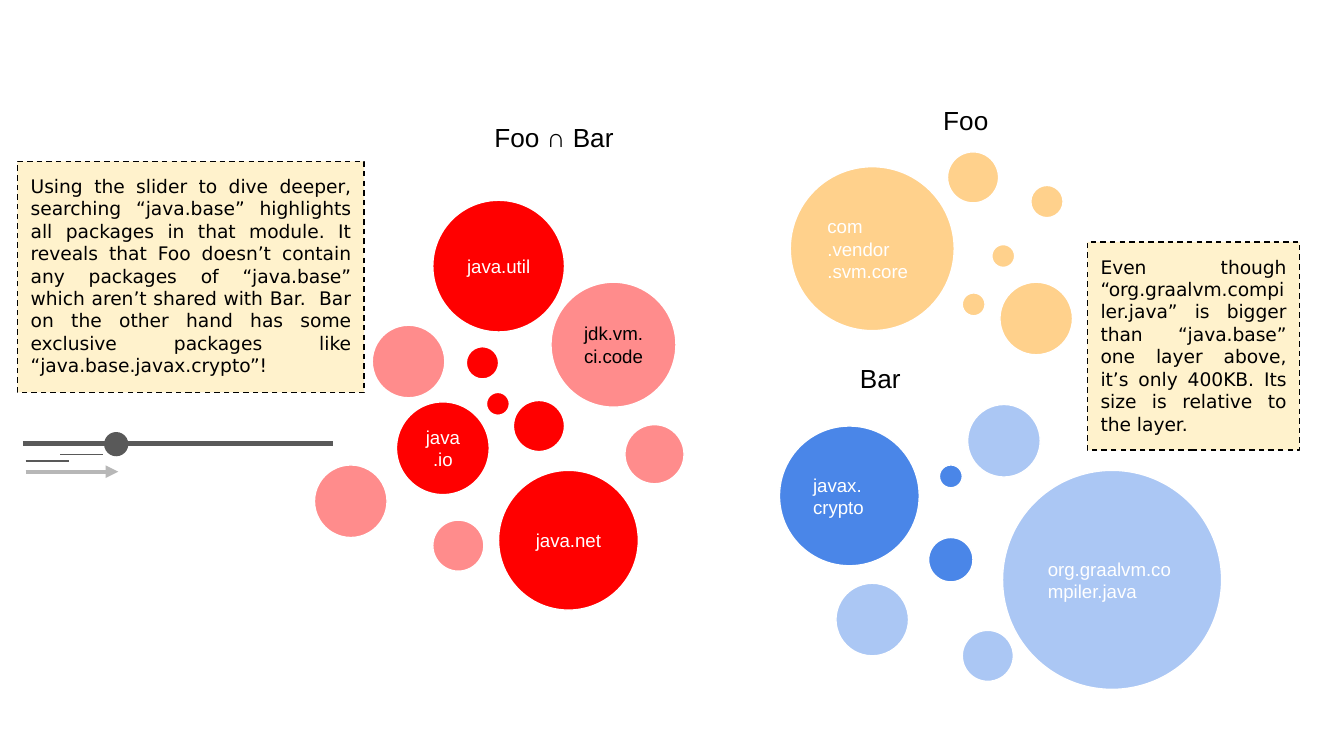
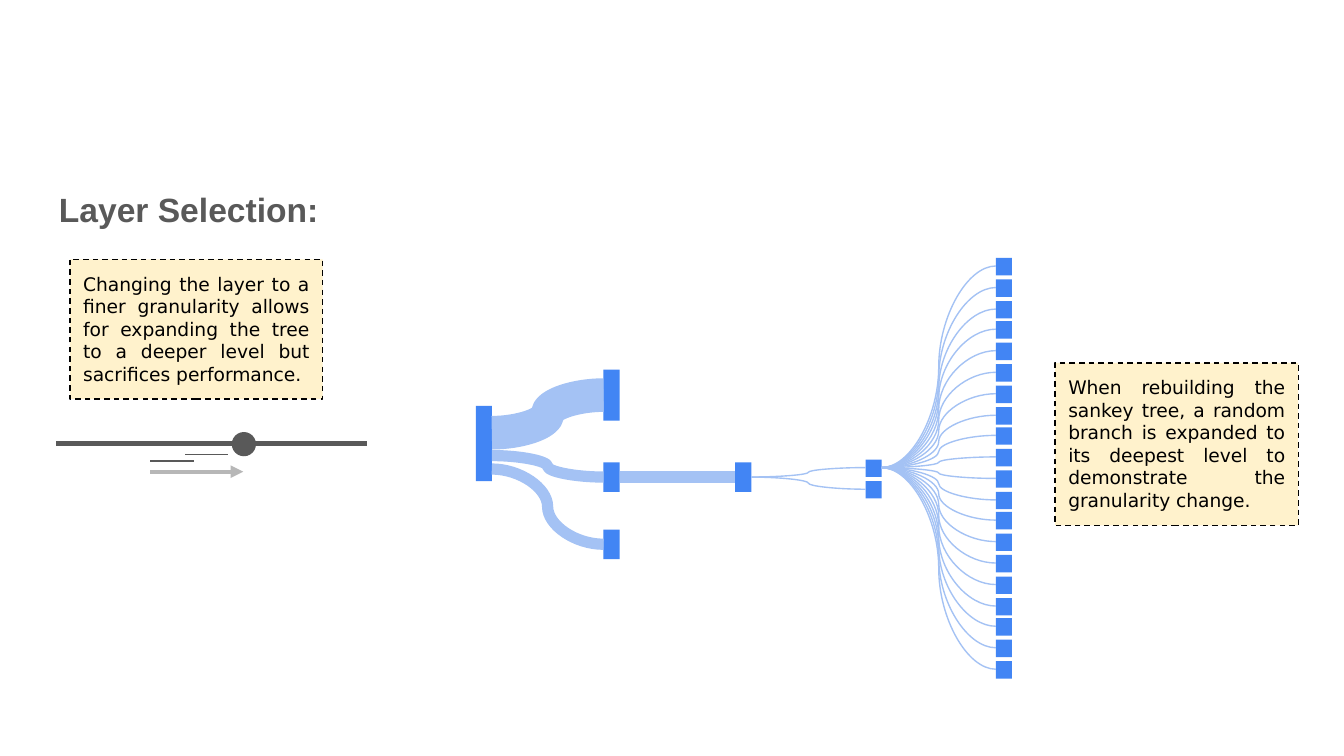
from dataclasses import dataclass
from typing import Any, NamedTuple, Optional

from lxml import etree
from pptx import Presentation
from pptx.dml.color import RGBColor
from pptx.enum.dml import MSO_LINE
from pptx.enum.shapes import MSO_CONNECTOR, MSO_SHAPE
from pptx.enum.text import MSO_ANCHOR, MSO_AUTO_SIZE, PP_ALIGN
from pptx.oxml.ns import qn
from pptx.slide import Slide
from pptx.util import Emu, Pt

OVAL, RECT = MSO_SHAPE.OVAL, MSO_SHAPE.RECTANGLE
LINE, CURVE = MSO_CONNECTOR.STRAIGHT, MSO_CONNECTOR.CURVE
LEFT, MID, FULL = PP_ALIGN.LEFT, PP_ALIGN.CENTER, PP_ALIGN.JUSTIFY
TOP, CENTER = MSO_ANCHOR.TOP, MSO_ANCHOR.MIDDLE
FIXED, GROW = MSO_AUTO_SIZE.NONE, MSO_AUTO_SIZE.SHAPE_TO_FIT_TEXT
DASH = MSO_LINE.DASH

SCALE = 9144  # EMU in one px, 100 px to the inch


def px(size: int) -> Emu:
    return Emu(size * SCALE)


# Theme
class Tone(NamedTuple):
    color: str
    alpha: int = 100


@dataclass(frozen=True)
class Theme:
    sans: str = "Arial"
    note: str = "DejaVu Sans"
    small: int = 10
    label: int = 14
    title: int = 18
    thin: float = 0.75
    thick: float = 2.25
    black: str = "000000"
    white: str = "FFFFFF"
    gray: str = "595959"
    pale: str = "B7B7B7"
    cream: str = "FFF2CC"
    node: str = "4285F4"
    link: str = "A4C2F4"
    red: Tone = Tone("FF0000")
    pink: Tone = Tone("FF0000", 45)
    gold: Tone = Tone("FF9900", 45)
    blue: Tone = Tone("4A86E8")
    sky: Tone = Tone("4A86E8", 46)


T = Theme()


# Parts
class Box(NamedTuple):
    x: int
    y: int
    w: int
    h: int


class Note(NamedTuple):
    box: Box
    text: str


class Dot(NamedTuple):
    x: int
    y: int
    size: int
    tone: Tone
    text: str = ""
    ink: str = T.white
    align: Any = LEFT


class Node(NamedTuple):
    x: int
    y: int
    h: int

    @property
    def mid(self) -> int:
        return self.y + self.h // 2


# Drawing
def put(item: Any, form: dict[str, Any]) -> None:
    for name, value in form.items():
        setattr(item, name, value)


def write(shape: Any, text: str, font: str, size: int, ink: str, align: Any = LEFT,
          anchor: Any = TOP, fit: Any = FIXED, bold: bool = False, space: float = 1.0) -> None:
    edge = px(10)
    put(shape.text_frame, {
        "word_wrap": True, "auto_size": fit, "vertical_anchor": anchor,
        "margin_left": edge, "margin_top": edge, "margin_right": edge, "margin_bottom": edge,
    })
    para = shape.text_frame.paragraphs[0]
    put(para, {"text": text, "alignment": align, "line_spacing": space})
    for run in para.runs:
        put(run.font, {"name": font, "size": Pt(size), "bold": bold})
        run.font.color.rgb = RGBColor.from_string(ink)


def draw(slide: Slide, kind: Any, box: Box, tone: Tone, edge: Optional[str] = None) -> Any:
    shape = slide.shapes.add_shape(kind, *map(px, box))
    shape.shadow.inherit = False
    shape.fill.solid()
    shape.fill.fore_color.rgb = RGBColor.from_string(tone.color)
    if tone.alpha < 100:
        color = next(shape.element.spPr.iter(qn("a:srgbClr")))
        etree.SubElement(color, qn("a:alpha"), val=str(tone.alpha * 1000))
    if edge:
        shape.line.color.rgb = RGBColor.from_string(edge)
        shape.line.width = Pt(T.thin)
    else:
        shape.line.fill.background()
    return shape


def join(slide: Slide, kind: Any, x1: int, y1: int, x2: int, y2: int,
         color: str, width: float, arrow: bool = False) -> None:
    wire = slide.shapes.add_connector(kind, px(x1), px(y1), px(x2), px(y2))
    wire.line.color.rgb = RGBColor.from_string(color)
    wire.line.width = Pt(width)
    frame = wire.element.spPr
    if arrow:
        etree.SubElement(frame.find(qn("a:ln")), qn("a:tailEnd"), type="triangle")
    etree.SubElement(frame, qn("a:effectLst"))


def label(slide: Slide, note: Note) -> None:
    shape = slide.shapes.add_textbox(*map(px, note.box))
    write(shape, note.text, T.sans, T.label, T.black, fit=GROW)


def card(slide: Slide, note: Note) -> None:
    shape = draw(slide, RECT, note.box, Tone(T.cream), T.black)
    shape.line.dash_style = DASH
    write(shape, note.text, T.note, T.small, T.black, FULL, fit=GROW)


def bubble(slide: Slide, dot: Dot) -> None:
    shape = draw(slide, OVAL, Box(dot.x, dot.y, dot.size, dot.size), dot.tone, T.white)
    if dot.text:
        write(shape, dot.text, T.sans, T.small, dot.ink, dot.align, CENTER)


def slider(slide: Slide, x: int, knob: int, trail: int) -> None:
    join(slide, LINE, x, 330, x + 231, 330, T.gray, T.thick)
    draw(slide, OVAL, Box(knob, 322, 17, 17), Tone(T.gray), T.gray)
    join(slide, LINE, trail, 351, trail + 69, 351, T.pale, T.thick, True)
    for start, y in ((26, 338), (0, 343)):
        join(slide, LINE, trail + start, y, trail + start + 32, y, T.gray, T.thin)


WIDE = 12  # width of a tree node


def block(slide: Slide, node: Node) -> None:
    draw(slide, RECT, Box(node.x, node.y, WIDE, node.h), Tone(T.node))


def link(slide: Slide, start: Node, end: Node, width: float, y: Optional[int] = None) -> None:
    join(slide, CURVE, start.x + WIDE, start.mid if y is None else y,
         end.x, end.mid, T.link, width)


# Slide 1: package bubbles
LABELS = (
    Note(Box(358, 80, 131, 44), "Foo ∩ Bar"),
    Note(Box(692, 68, 54, 44), "Foo"),
    Note(Box(630, 260, 54, 44), "Bar"),
)
DOTS = (
    Dot(347, 258, 24, T.red),
    Dot(295, 299, 69, T.red, "java.io", align=MID),
    Dot(410, 210, 93, T.pink, "jdk.vm.ci.code", T.black, MID),
    Dot(382, 298, 38, T.red),
    Dot(322, 149, 98, T.red, "java.util", align=MID),
    Dot(362, 292, 17, T.red),
    Dot(277, 242, 54, T.pink),
    Dot(371, 350, 104, T.red, "java.net", align=MID),
    Dot(465, 316, 44, T.pink),
    Dot(322, 387, 38, T.pink),
    Dot(234, 346, 54, T.pink),
    Dot(767, 138, 24, T.gold),
    Dot(744, 210, 54, T.gold),
    Dot(738, 182, 17, T.gold),
    Dot(588, 124, 122, T.gold, "com\n.vendor\n.svm.core"),
    Dot(705, 113, 38, T.gold),
    Dot(716, 218, 17, T.gold),
    Dot(699, 346, 17, T.blue),
    Dot(746, 350, 163, T.sky, "org.graalvm.compiler.java"),
    Dot(720, 301, 54, T.sky),
    Dot(580, 317, 104, T.blue, "javax.\ncrypto"),
    Dot(622, 434, 54, T.sky),
    Dot(691, 400, 33, T.blue),
    Dot(716, 469, 38, T.sky),
)
FACTS = (
    Note(Box(13, 120, 258, 172),
         "Using the slider to dive deeper, searching “java.base” highlights all packages "
         "in that module. It reveals that Foo doesn’t contain any packages of “java.base” "
         "which aren’t shared with Bar.  Bar on the other hand has some exclusive packages "
         "like “java.base.javax.crypto”!"),
    Note(Box(809, 180, 158, 155),
         "Even though “org.graalvm.compiler.java” is bigger than “java.base” one layer "
         "above, it’s only 400KB. Its size is relative to the layer."),
)


def bubbles(slide: Slide) -> None:
    for dot in DOTS:
        bubble(slide, dot)
    for note in LABELS:
        label(slide, note)
    for note in FACTS:
        card(slide, note)
    slider(slide, 17, 78, 19)


# Slide 2: layer tree
ROOT = Node(354, 302, 56)
LIMBS = (Node(449, 275, 38), Node(449, 344, 22), Node(449, 394, 22))
EXITS = ((322, 18), (339, 6), (349, 6))  # y on the root, link width
STEM = Node(547, 344, 22)
FORKS = (Node(644, 342, 13), Node(644, 358, 13))
COUNT, FIRST, SPAN = 20, 192, 300
LEAVES = tuple(Node(741, FIRST + round(SPAN * i / (COUNT - 1)), 13) for i in range(COUNT))
TIPS = (
    Note(Box(52, 193, 188, 104),
         "Changing the layer to a finer granularity allows for expanding the tree to a "
         "deeper level but sacrifices performance."),
    Note(Box(785, 270, 181, 121),
         "When rebuilding the sankey tree, a random branch is expanded to its deepest "
         "level to demonstrate the granularity change."),
)


def tree(slide: Slide) -> None:
    head = slide.shapes.add_textbox(*map(px, Box(34, 126, 932, 374)))
    write(head, "Layer Selection:", T.sans, T.title, T.gray, bold=True, space=1.15)
    slider(slide, 42, 173, 112)
    for node in (ROOT, *LIMBS, STEM, *FORKS, *LEAVES):
        block(slide, node)
    for limb, (y, width) in zip(LIMBS, EXITS):
        link(slide, ROOT, limb, width, y)
    link(slide, LIMBS[1], STEM, 6)
    for fork in FORKS:
        link(slide, STEM, fork, T.thin)
    for leaf in LEAVES:
        link(slide, FORKS[0], leaf, T.thin)
    for note in TIPS:
        card(slide, note)


def main() -> None:
    deck = Presentation()
    wide = px(1000)
    put(deck, {"slide_width": wide, "slide_height": Emu(wide * 9 // 16)})
    for build in (bubbles, tree):
        build(deck.slides.add_slide(deck.slide_layouts[6]))
    deck.save("out.pptx")


if __name__ == "__main__":
    main()
